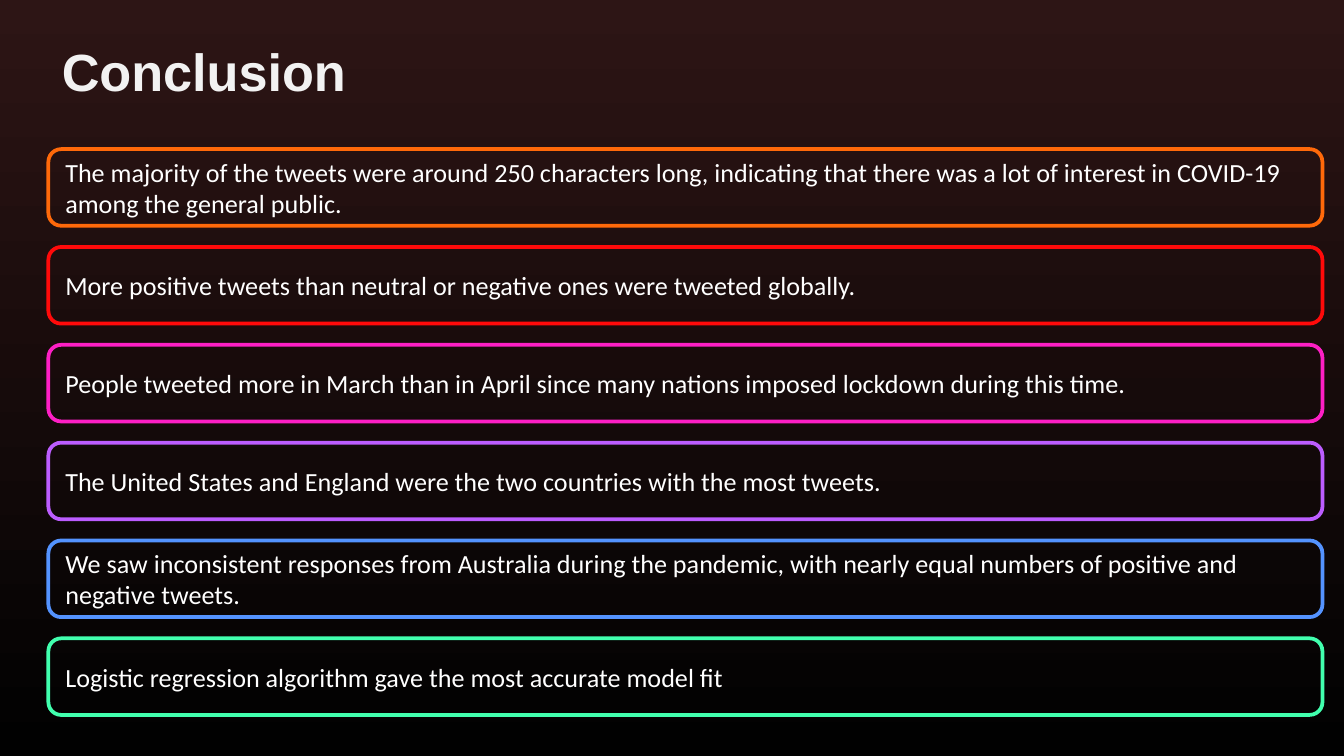
from pptx import Presentation
from pptx.dml.color import RGBColor
from pptx.enum.shapes import MSO_SHAPE
from pptx.enum.text import MSO_ANCHOR, MSO_AUTO_SIZE, PP_ALIGN
from pptx.util import Inches, Pt

TITLE = "Conclusion"
FINDINGS = [
    ("The majority of the tweets were around 250 characters long, indicating that "
     "there was a lot of interest in COVID-19 among the general public.", "FF690A"),
    ("More positive tweets than neutral or negative ones were tweeted globally.", "FF0A0A"),
    ("People tweeted more in March than in April since many nations imposed "
     "lockdown during this time.", "FD1FC5"),
    ("The United States and England were the two countries with the most tweets.", "BC5DFF"),
    ("We saw inconsistent responses from Australia during the pandemic, with nearly "
     "equal numbers of positive and negative tweets.", "5493FF"),
    ("Logistic regression algorithm gave the most accurate model fit", "41FFAE"),
]

THEME = {
    "background": ("2D1515", "010101"),
    "title": {"font": "Arial", "size": 28, "color": "F2F2F2", "bold": True},
    "finding": {"font": "Calibri", "size": 14, "color": "FFFFFF"},
    "outline": 2,
}

SLIDE_WIDTH = 10
SLIDE_HEIGHT = SLIDE_WIDTH * 9 / 16
LEFT = 0.36
FIRST_TOP, LAST_TOP = 1.11, 4.75
BOX_WIDTH, BOX_HEIGHT = 9.48, 0.57
STEP = (LAST_TOP - FIRST_TOP) / (len(FINDINGS) - 1)


def write_text(frame, text, *, font, size, color, bold=False, anchor=MSO_ANCHOR.MIDDLE):
    frame.vertical_anchor = anchor
    paragraph = frame.paragraphs[0]
    paragraph.alignment = PP_ALIGN.LEFT
    run = paragraph.add_run()
    run.text = text
    run.font.name = font
    run.font.size = Pt(size)
    run.font.bold = bold
    run.font.color.rgb = RGBColor.from_string(color)


def paint_background(slide):
    fill = slide.background.fill
    fill.gradient()
    fill.gradient_angle = 270
    for stop, position, color in zip(fill.gradient_stops, (0, 1), THEME["background"]):
        stop.position = position
        stop.color.rgb = RGBColor.from_string(color)


def add_title(slide):
    title = slide.shapes.title
    title.left, title.top = Inches(LEFT), Inches(0.24)
    title.width, title.height = Inches(2.34), Inches(0.57)
    frame = title.text_frame
    frame.word_wrap = False
    frame.auto_size = MSO_AUTO_SIZE.SHAPE_TO_FIT_TEXT
    write_text(frame, TITLE, anchor=MSO_ANCHOR.TOP, **THEME["title"])


def add_finding(slide, row, finding, color):
    box = slide.shapes.add_shape(
        MSO_SHAPE.FLOWCHART_ALTERNATE_PROCESS,
        Inches(LEFT), Inches(FIRST_TOP + row * STEP),
        Inches(BOX_WIDTH), Inches(BOX_HEIGHT))
    box.shadow.inherit = False
    box.fill.background()
    box.line.color.rgb = RGBColor.from_string(color)
    box.line.width = Pt(THEME["outline"])
    box.text_frame.word_wrap = True
    write_text(box.text_frame, finding, **THEME["finding"])


def main():
    deck = Presentation()
    deck.slide_width, deck.slide_height = Inches(SLIDE_WIDTH), Inches(SLIDE_HEIGHT)
    slide = deck.slides.add_slide(deck.slide_layouts[5])
    paint_background(slide)
    add_title(slide)
    for row, (finding, color) in enumerate(FINDINGS):
        add_finding(slide, row, finding, color)
    deck.save("out.pptx")


if __name__ == "__main__":
    main()
